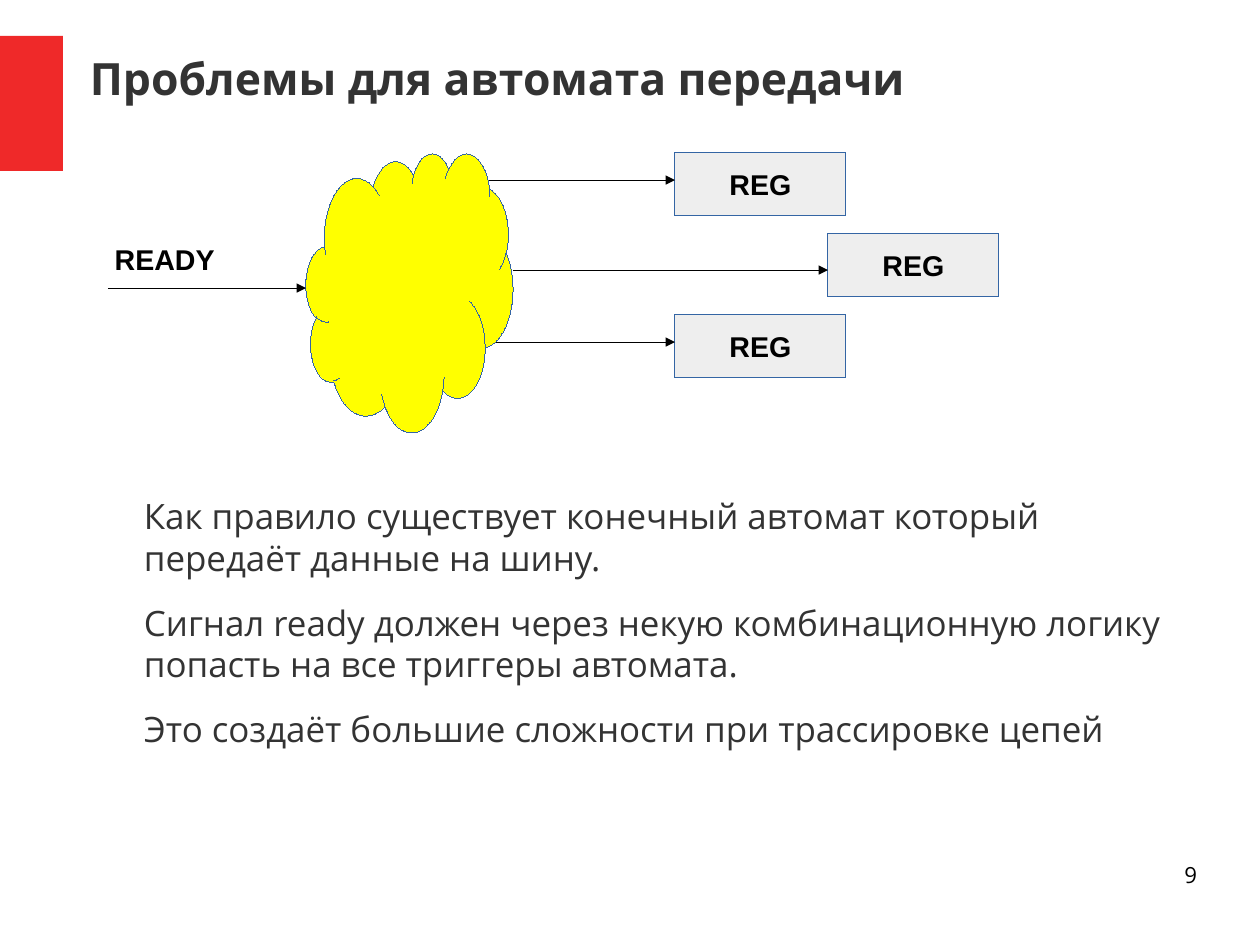
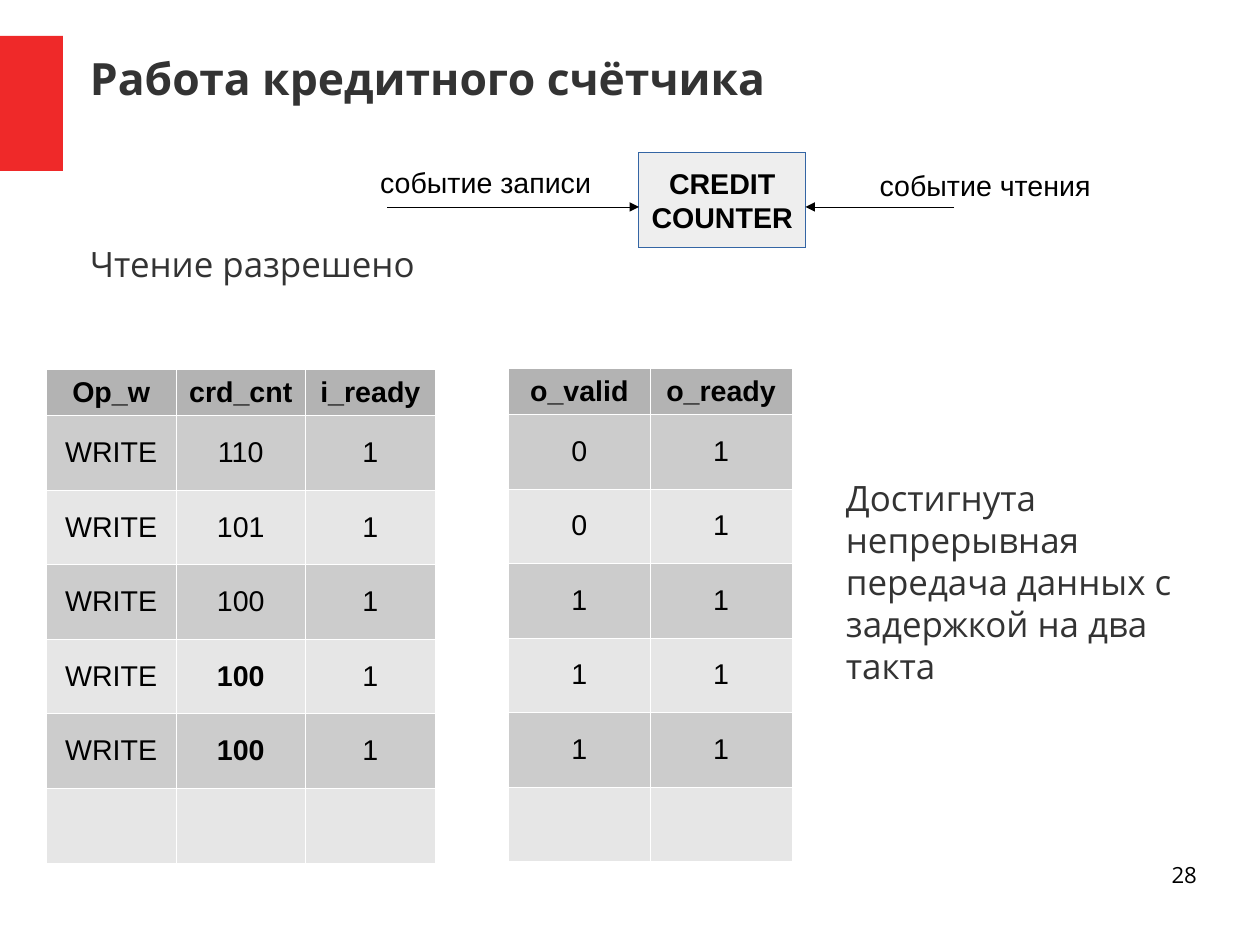
from dataclasses import dataclass

from lxml.etree import SubElement
from pptx import Presentation
from pptx.dml.color import RGBColor as Rgb
from pptx.enum.shapes import MSO_CONNECTOR as Connector, MSO_SHAPE as Shape
from pptx.enum.text import MSO_ANCHOR as Anchor, PP_ALIGN as Align
from pptx.oxml.ns import qn
from pptx.util import Cm, Pt


@dataclass(frozen=True)
class Theme:
    accent: str = "EF2929"
    ink: str = "333333"
    black: str = "000000"
    outline: str = "3465A4"
    block: str = "EEEEEE"
    cloud: str = "FFFF00"
    grid: str = "FFFFFF"
    header: str = "B3B3B3"
    bands: tuple = ("CCCCCC", "E6E6E6")
    text_font: str = "Open Sans"
    label_font: str = "Arial"
    title_size: int = 28
    body_size: int = 22
    label_size: int = 18
    number_size: int = 14


THEME = Theme()
TITLE = dict(name=THEME.text_font, size=THEME.title_size, color=THEME.ink, bold=True)
BODY = dict(name=THEME.text_font, size=THEME.body_size, color=THEME.ink, bold=False)
NUMBER = dict(name=THEME.text_font, size=THEME.number_size, color=THEME.black, bold=False)
LABEL = dict(name=THEME.label_font, size=THEME.label_size, color=THEME.black, bold=False)
STRONG = {**LABEL, "bold": True}
PADDING = (0.25, 0.13)


def lengths(*values):
    return [Cm(value) for value in values]


def set_font(font, style):
    for name, value in style.items():
        if name == "color":
            font.color.rgb = Rgb.from_string(value)
        else:
            setattr(font, name, Pt(value) if name == "size" else value)


def write(frame, lines, style, padding=(0, 0), anchor=Anchor.TOP, wrap=True, **para_format):
    across, down = lengths(*padding)
    frame_format = dict(margin_left=across, margin_right=across, margin_top=down,
                        margin_bottom=down, vertical_anchor=anchor, word_wrap=wrap)
    for name, value in frame_format.items():
        setattr(frame, name, value)
    for index, line in enumerate(lines):
        para = frame.paragraphs[0] if index == 0 else frame.add_paragraph()
        for name, value in para_format.items():
            setattr(para, name, value)
        span = para.add_run()
        span.text = line
        set_font(span.font, style)


def add_text(page, box, lines, style, **options):
    frame = page.shapes.add_textbox(*lengths(*box)).text_frame
    write(frame, lines, style, **options)


def add_body(page, box, lines):
    """Place indented paragraphs in the box."""
    left, top, width, height = box
    indent = 1.2
    add_text(page, (left + indent, top, width - indent, height), lines, BODY,
             space_after=Pt(14.1))


def set_hairline(line, color):
    """Give a line its colour and an explicit zero width, the thinnest stroke."""
    line.color.rgb = Rgb.from_string(color)
    element = line._get_or_add_ln()
    element.set("w", "0")
    return element


def add_filled(page, kind, box, fill, outline=None):
    shape = page.shapes.add_shape(kind, *lengths(*box))
    shape.shadow.inherit = False
    shape.fill.solid()
    shape.fill.fore_color.rgb = Rgb.from_string(fill)
    if outline:
        set_hairline(shape.line, outline)
    else:
        shape.line.fill.background()
    return shape


def add_block(page, box, lines):
    shape = add_filled(page, Shape.RECTANGLE, box, THEME.block, THEME.outline)
    write(shape.text_frame, lines, STRONG, padding=PADDING, anchor=Anchor.MIDDLE,
          wrap=False, alignment=Align.CENTER)


def add_arrow(page, start, end, level):
    """Draw a level arrow from start to end."""
    arrow = page.shapes.add_connector(Connector.STRAIGHT, *lengths(start, level, end, level))
    line = set_hairline(arrow.line, THEME.black)
    SubElement(line, qn("a:tailEnd"), type="triangle")
    SubElement(arrow._element.spPr, qn("a:effectLst"))


def set_borders(cell):
    properties = cell._tc.get_or_add_tcPr()
    for side in ("a:lnL", "a:lnR", "a:lnT", "a:lnB"):
        line = SubElement(properties, qn(side), w=str(Pt(0.06)))
        fill = SubElement(line, qn("a:solidFill"))
        SubElement(fill, qn("a:srgbClr"), val=THEME.grid)


def add_signal_table(page, box, header, rows, strong=()):
    """Fill a banded table; strong holds the (row, column) places set in bold."""
    left, top, width, height = box
    header_height = 1
    records = [header, *rows]
    table = page.shapes.add_table(len(records), len(header), *lengths(*box)).table
    table.first_row = table.horz_banding = False
    for column in table.columns:
        column.width = Cm(width / len(header))
    row_height = (height - header_height) / len(rows)
    for row, record in enumerate(records):
        table.rows[row].height = Cm(row_height if row else header_height)
        for column, value in enumerate(record):
            cell = table.cell(row, column)
            set_borders(cell)
            cell.fill.solid()
            color = THEME.bands[(row - 1) % 2] if row else THEME.header
            cell.fill.fore_color.rgb = Rgb.from_string(color)
            cell.margin_left = cell.margin_right = Cm(PADDING[0])
            cell.margin_top = cell.margin_bottom = Cm(PADDING[1])
            cell.vertical_anchor = Anchor.MIDDLE
            if value:
                para = cell.text_frame.paragraphs[0]
                para.alignment = Align.CENTER
                span = para.add_run()
                span.text = value
                bold = row == 0 or (row, column) in strong
                set_font(span.font, STRONG if bold else LABEL)


def add_page(deck, title, number):
    page = deck.slides.add_slide(deck.slide_layouts[6])
    add_filled(page, Shape.RECTANGLE, (0, 0.8, 1.4, 3), THEME.accent)
    add_text(page, (2, 0.85, 24.6, 1.75), [title], TITLE, anchor=Anchor.MIDDLE)
    add_text(page, (20.07, 19.13, 6.53, 1.45), [str(number)], NUMBER, alignment=Align.RIGHT)
    return page


def add_ready_diagram(page, left, top):
    """Draw the ready signal passing through the logic cloud to the registers."""
    cloud_left, cloud_width = left + 4.5, 4.6
    block_width, block_height, step = 3.8, 1.4, 1.8
    # start of arrow, left of register, arrow level below the register's top
    registers = [(8.3, 12.7, 0.6), (9.1, 16.1, 0.8), (8.3, 12.7, 0.6)]
    for index, (start, block_left, level) in enumerate(registers):
        block_top = top + index * step
        add_block(page, (left + block_left, block_top, block_width, block_height), ["REG"])
        add_arrow(page, left + start, left + block_left, block_top + level)
    add_filled(page, Shape.CLOUD, (cloud_left, top, cloud_width, 6.2),
               THEME.cloud, THEME.outline)
    add_arrow(page, left + 0.1, cloud_left, top + 3)
    add_text(page, (left, top + 1.85, 3.5, 0.97), ["READY"], STRONG, padding=PADDING)


def add_counter_diagram(page, left, top):
    """Draw the counter block between its write and read events."""
    block_left, block_width, level = left + 6, 3.7, top + 1.2
    add_block(page, (block_left, top, block_width, 2.1), ["CREDIT", "COUNTER"])
    add_arrow(page, left + 0.4, block_left, level)
    add_arrow(page, left + 13, block_left + block_width, level)
    add_text(page, (left, top + 0.13, 5.5, 0.97), ["событие записи"], LABEL, padding=PADDING)
    add_text(page, (left + 11.1, top + 0.2, 5.9, 1.2), ["событие чтения"], LABEL,
             padding=PADDING)


def build_problem_page(deck):
    page = add_page(deck, "Проблемы для автомата передачи", 9)
    add_ready_diagram(page, 2.3, 3.4)
    add_body(page, (2, 11, 24, 5), [
        "Как правило существует конечный автомат который передаёт данные на шину.",
        "Сигнал ready должен через некую комбинационную логику попасть на все триггеры автомата.",
        "Это создаёт большие сложности при трассировке цепей",
    ])


def build_counter_page(deck):
    page = add_page(deck, "Работа кредитного счётчика", 28)
    add_counter_diagram(page, 8.2, 3.4)
    add_body(page, (0.8, 5.4, 13.6, 2.4), ["Чтение разрешено"])
    counts = ("110", "101", "100", "100", "100")
    add_signal_table(page, (1.03, 8.21, 8.64, 10.94), ("Op_w", "crd_cnt", "i_ready"),
                     [("WRITE", count, "1") for count in counts] + [("", "", "")],
                     strong={(4, 1), (5, 1)})
    add_signal_table(page, (11.3, 8.18, 6.3, 10.94), ("o_valid", "o_ready"),
                     [(valid, "1") for valid in "00111"] + [("", "")])
    add_body(page, (17.6, 10.6, 9.6, 7.4),
             ["Достигнута непрерывная передача данных с задержкой на два такта"])


def main():
    deck = Presentation()
    deck.slide_width, deck.slide_height = lengths(28, 21)
    build_problem_page(deck)
    build_counter_page(deck)
    deck.save("out.pptx")


if __name__ == "__main__":
    main()
